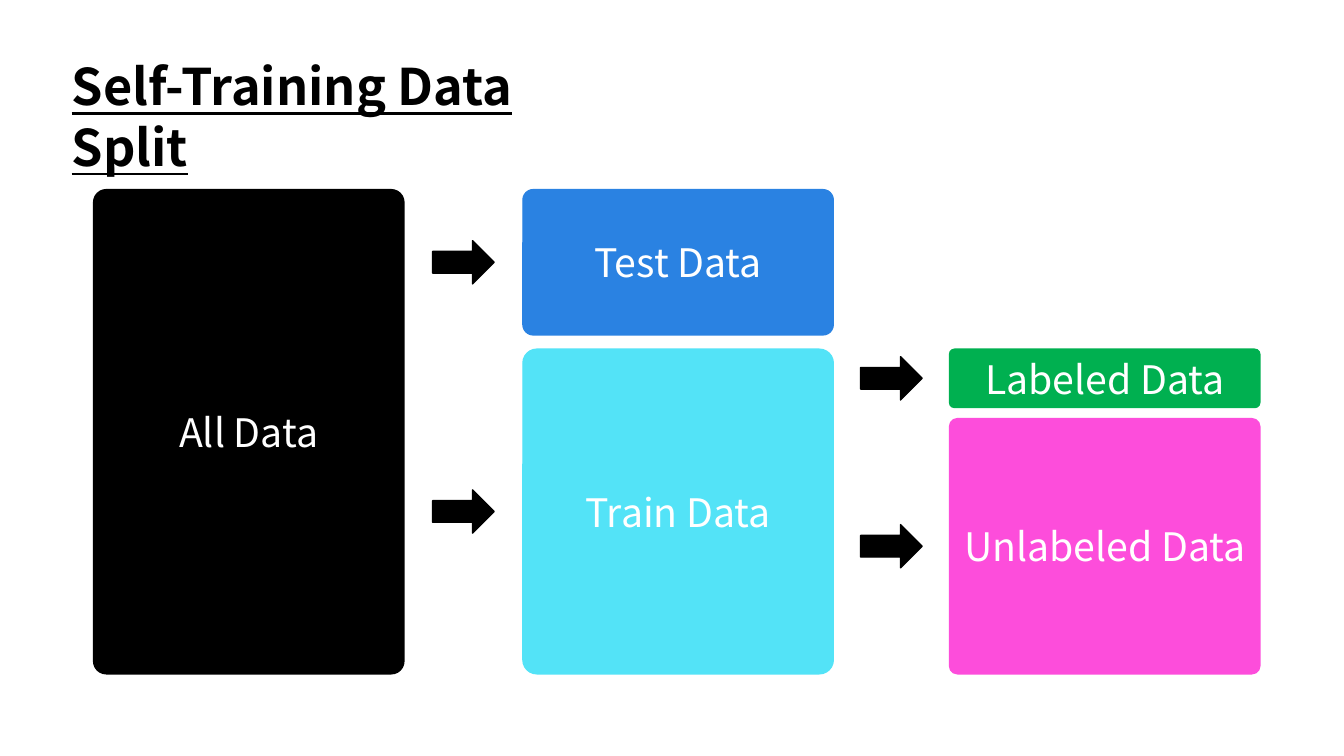
import pptx
import pptx.util
import pptx.dml.color
import pptx.enum.shapes
import pptx.enum.text

Cm, Pt = pptx.util.Cm, pptx.util.Pt
RGB = pptx.dml.color.RGBColor
SHAPE = pptx.enum.shapes.MSO_SHAPE
ALIGN = pptx.enum.text.PP_ALIGN
ANCHOR = pptx.enum.text.MSO_ANCHOR

BLACK = RGB(0x00, 0x00, 0x00)
WHITE = RGB(0xFF, 0xFF, 0xFF)
BLUE = RGB(0x2A, 0x82, 0xE2)
CYAN = RGB(0x53, 0xE3, 0xF7)
GREEN = RGB(0x00, 0xB0, 0x50)
PINK = RGB(0xFD, 0x4D, 0xDB)

BOX_W = 7.82
ARROW_W, ARROW_H = 1.55, 1.09
TOP, BOTTOM = 4.78, 16.98
ALL_X, SPLIT_X, LABEL_X = 2.36, 13.18, 23.93


class Deck:
    font = "Noto Sans CJK KR"

    def __init__(self):
        self.prs = pptx.Presentation()
        self.prs.slide_width, self.prs.slide_height = Cm(33.87), Cm(19.05)
        self.slide = self.prs.slides.add_slide(self.prs.slide_layouts[5])

    def style(self, para, size, color, align):
        para.alignment = align
        para.font.name = self.font
        para.font.size = Pt(size)
        para.font.color.rgb = color

    def title(self, text, x, y, w, h):
        title = self.slide.shapes.title
        title.left, title.top, title.width, title.height = Cm(x), Cm(y), Cm(w), Cm(h)
        frame = title.text_frame
        frame.text = text
        frame.word_wrap = True
        frame.auto_size = pptx.enum.text.MSO_AUTO_SIZE.NONE
        frame.vertical_anchor = ANCHOR.TOP
        para = frame.paragraphs[0]
        self.style(para, 36, BLACK, ALIGN.LEFT)
        para.font.bold = para.font.underline = True

    def shape(self, kind, x, y, w, h, color):
        shape = self.slide.shapes.add_shape(kind, Cm(x), Cm(y), Cm(w), Cm(h))
        shape.shadow.inherit = False
        shape.fill.solid()
        shape.fill.fore_color.rgb = color
        shape.line.color.rgb = color
        shape.line.width = Pt(1)
        return shape

    def box(self, text, x, top, bottom, color, radius):
        """Add a labelled box; radius is the corner size in cm."""
        h = bottom - top
        box = self.shape(SHAPE.ROUNDED_RECTANGLE, x, top, BOX_W, h, color)
        box.adjustments[0] = radius / min(BOX_W, h)
        frame = box.text_frame
        frame.text = text
        frame.word_wrap = True
        frame.vertical_anchor = ANCHOR.MIDDLE
        self.style(frame.paragraphs[0], 28, WHITE, ALIGN.CENTER)

    def arrow(self, left, right, mid):
        """Centre an arrow in the gap between two columns."""
        x = (left + BOX_W + right - ARROW_W) / 2
        self.shape(SHAPE.RIGHT_ARROW, x, mid - ARROW_H / 2, ARROW_W, ARROW_H, BLACK)


def main():
    deck = Deck()
    deck.title("Self-Training Data Split", 1.55, 1.27, 14.6, 1.8)
    deck.box("All Data", ALL_X, TOP, BOTTOM, BLACK, 0.32)

    parts = [
        ("Test Data", ALL_X, SPLIT_X, TOP, 8.44, BLUE, 0.26),
        ("Train Data", ALL_X, SPLIT_X, 8.8, BOTTOM, CYAN, 0.35),
        ("Labeled Data", SPLIT_X, LABEL_X, 8.8, 10.27, GREEN, 0.13),
        ("Unlabeled Data", SPLIT_X, LABEL_X, 10.55, BOTTOM, PINK, 0.2),
    ]
    for text, source, x, top, bottom, color, radius in parts:
        deck.box(text, x, top, bottom, color, radius)
        deck.arrow(source, x, (top + bottom) / 2)

    deck.prs.save("out.pptx")


if __name__ == "__main__":
    main()
